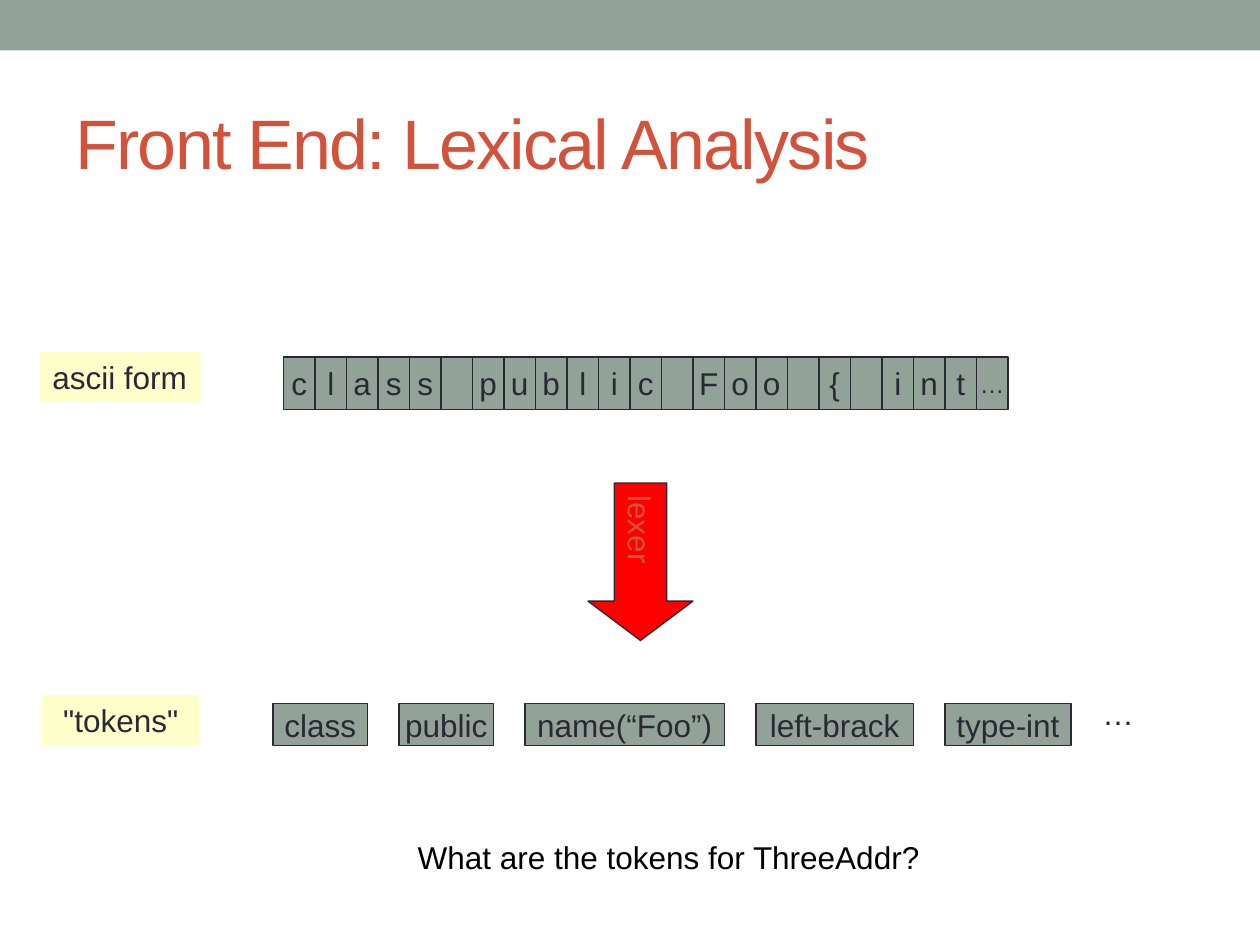
import pptx
import pptx.util
import pptx.dml.color
import pptx.enum.shapes
import pptx.enum.text

UNIT = pptx.util.Inches(1) / 12
COLUMNS, ROWS = 120, 90
SAGE, INK, RUST, RED, CREAM = "93A299", "292934", "D2533C", "FF0000", "FFFFCC"
SHAPE = pptx.enum.shapes.MSO_SHAPE
ALIGN = pptx.enum.text.PP_ALIGN
ANCHOR = pptx.enum.text.MSO_ANCHOR


def color(hex_string):
    """Return the RGB colour of a hex string."""
    return pptx.dml.color.RGBColor.from_string(hex_string)


def grid(box):
    """Turn a box in columns and rows into slide lengths."""
    return [round(length * UNIT) for length in box]


def write(frame, text, ink=INK, size=18, align=ALIGN.CENTER, anchor=ANCHOR.MIDDLE, wrap=False):
    """Write one run of text into a frame and return the run."""
    frame.word_wrap = wrap
    frame.vertical_anchor = anchor
    paragraph = frame.paragraphs[0]
    paragraph.alignment = align
    run = paragraph.add_run()
    run.text = text
    run.font.name = "Arial"
    run.font.size = pptx.util.Pt(size)
    run.font.color.rgb = color(ink)
    return run


def block(shapes, box, fill, outline=None, kind=SHAPE.RECTANGLE):
    """Add a flat filled shape, outlined if a line colour is given."""
    shape = shapes.add_shape(kind, *grid(box))
    shape.shadow.inherit = False
    shape.fill.solid()
    shape.fill.fore_color.rgb = color(fill)
    if outline:
        shape.line.color.rgb = color(outline)
        shape.line.width = pptx.util.Pt(0.75)
    else:
        shape.line.fill.background()
    return shape


def header(shapes, box):
    """Place the top band and the title below it."""
    left, top, width, height = box
    block(shapes, (left, top, width, height * 0.24), SAGE)
    title = shapes.add_textbox(*grid((left + 6, top + height * 0.35, width - 12, height * 0.65)))
    run = write(title.text_frame, "Front End: Lexical Analysis", RUST, 40, ALIGN.LEFT, wrap=True)
    run.font._element.set("spc", "-100")


def character_strip(shapes, box, source):
    """Split the box into one equal cell per source character."""
    left, top, width, height = box
    cell_width = width / len(source)
    cells = shapes.add_group_shape().shapes
    for index, character in enumerate(source):
        cell = block(cells, (left + index * cell_width, top, cell_width, height), SAGE, INK)
        if character != " ":
            write(cell.text_frame, character, size=14 if character == "…" else 18)


def lexer_arrow(shapes, box):
    """Place the downward arrow with its vertical caption."""
    arrow = block(shapes, box, RED, INK, SHAPE.DOWN_ARROW)
    arrow.adjustments[0], arrow.adjustments[1] = 0.5, 0.375
    write(arrow.text_frame, "lexer", RUST)
    arrow.text_frame._txBody.bodyPr.set("vert", "eaVert")


def token_row(shapes, box, tokens, gap):
    """Lay the tokens out from left to right with equal gaps."""
    left, top, _, height = box
    for token, width in tokens:
        write(block(shapes, (left, top, width, height), SAGE, INK).text_frame, token)
        left += width + gap


def stage_label(shapes, box, text, align):
    """Place the cream label that names a stage."""
    label = block(shapes, box, CREAM)
    write(label.text_frame, text, align=align, anchor=ANCHOR.TOP)


def plain_text(shapes, box, text, ink):
    """Place a line of text without a background."""
    line = shapes.add_textbox(*grid(box))
    write(line.text_frame, text, ink, align=ALIGN.LEFT, anchor=ANCHOR.TOP)


def main():
    """Build the lexical analysis slide."""
    deck = pptx.Presentation()
    deck.slide_width, deck.slide_height = grid((COLUMNS, ROWS))
    shapes = deck.slides.add_slide(deck.slide_layouts[6]).shapes
    header(shapes, (0, 0, COLUMNS, 20))
    character_strip(shapes, (27, 34, 69, 5), "class public Foo { int…")
    tokens = [("class", 9), ("public", 9), ("name(“Foo”)", 19), ("left-brack", 15), ("type-int", 12)]
    token_row(shapes, (26, 67, 76, 4), tokens, 3)
    plain_text(shapes, (103.8, 65.5, 5.4, 4.8), "…", INK)
    lexer_arrow(shapes, (56, 46, 10, 15))
    stage_label(shapes, (3.8, 33.5, 15.3, 4.8), "ascii form", ALIGN.LEFT)
    stage_label(shapes, (4, 66.2, 15, 4.8), "\"tokens\"", ALIGN.CENTER)
    plain_text(shapes, (38.6, 79.2, 50.6, 4.8), "What are the tokens for ThreeAddr?", "000000")
    deck.save("out.pptx")


if __name__ == "__main__":
    main()
